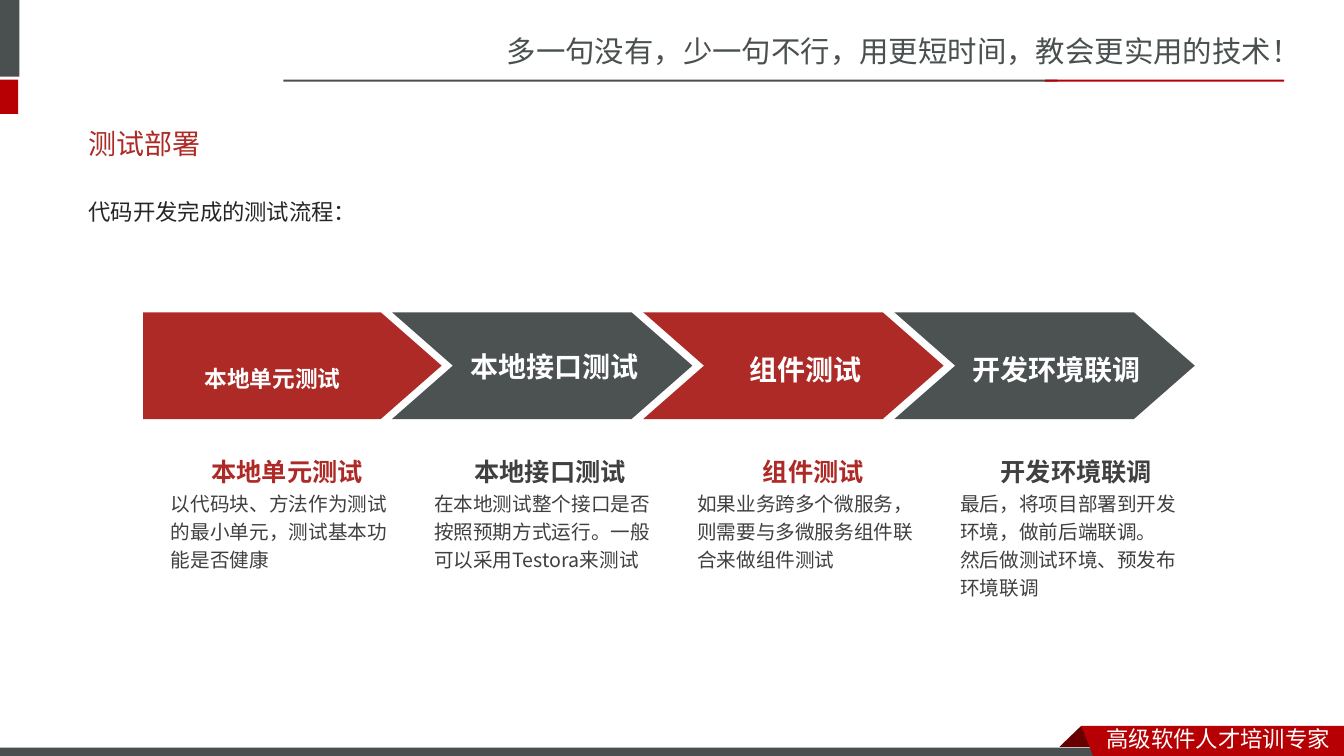
from pptx import Presentation
from pptx import util as u
from pptx.dml.color import RGBColor
from pptx.enum import lang, shapes, text
from pptx.oxml.ns import qn
from lxml import etree

RED, DEEP_RED, FOLD_RED = "AD2A26", "B60004", "680000"
SLATE, ARROW_GREY, INK, WHITE = "49504F", "4C5252", "404040", "FFFFFF"
SANS, BODY = "Noto Sans CJK SC", "Noto Sans CJK JP"

prs = Presentation()
prs.slide_width, prs.slide_height = u.Cm(33.87), u.Cm(19.05)
s = prs.slides.add_slide(prs.slide_layouts[6])


def paint(sp, color):
    """Give a shape a flat fill without outline or shadow."""
    sp.shadow.inherit = False
    sp.fill.solid()
    sp.fill.fore_color.rgb = RGBColor.from_string(color)
    sp.line.fill.background()


def write(content, box=None, tf=None, size=14, color=INK, font=BODY, bold=False,
          align="LEFT", anchor="TOP", spacing=None, before=0, grow=True, baseline=None):
    """Write one paragraph in a new box (left, top, width, height), or append it to tf."""
    if tf is None:
        tf = s.shapes.add_textbox(*map(u.Cm, box)).text_frame
        tf.word_wrap = True
        tf.vertical_anchor = getattr(text.MSO_ANCHOR, anchor)
        if grow:
            tf.auto_size = text.MSO_AUTO_SIZE.SHAPE_TO_FIT_TEXT
        p = tf.paragraphs[0]
    else:
        p = tf.add_paragraph()
    p.alignment = getattr(text.PP_ALIGN, align)
    p.line_spacing = spacing
    p.space_before = u.Pt(before)
    r = p.add_run()
    r.text = content
    r.font.size, r.font.bold, r.font.name = u.Pt(size), bold, font
    r.font.color.rgb = RGBColor.from_string(color)
    r.font.language_id = lang.MSO_LANGUAGE_ID.SIMPLIFIED_CHINESE
    r_pr = r.font._element
    r_pr.find(qn("a:latin")).addnext(etree.Element(qn("a:ea"), typeface=font))
    if baseline:
        r_pr.set("baseline", str(baseline))
    return tf


# Page frame
for box, color in [
    ((-0.15, 0, 0.64, 1.93), SLATE),
    ((-0.15, 2.01, 0.61, 0.86), DEEP_RED),
    ((7.14, 2.01, 19.51, 0.05), SLATE),
    ((26.34, 2.01, 6.02, 0.05), DEEP_RED),
    ((-0.03, 18.84, 27.94, 0.28), SLATE),
]:
    paint(s.shapes.add_shape(shapes.MSO_SHAPE.RECTANGLE, *map(u.Cm, box)), color)

fold = [(27.25, 18.29), (27.81, 18.82), (26.7, 18.82)]
ribbon = [(27.25, 18.29), (33.87, 18.29), (33.87, 19.15), (27.58, 19.13)]
for outline, color in [(fold, FOLD_RED), (ribbon, DEEP_RED)]:
    points = [(u.Cm(x), u.Cm(y)) for x, y in outline]
    builder = s.shapes.build_freeform(*points[0])
    builder.add_line_segments(points[1:], close=True)
    paint(builder.convert_to_shape(), color)

write("多一句没有，少一句不行，用更短时间，教会更实用的技术！", (12.52, 0.71, 21.36, 1.19),
      size=21, color=SLATE, font=SANS)
write("高级软件人才培训专家", (27.64, 18.16, 6.22, 0.94), size=16, color=WHITE, font=SANS)

# Headings
write("代码开发完成的测试流程：", (1.98, 4.52, 29.72, 11.3), size=16, color="262626",
      spacing=1.5, before=3.2, grow=False)
write("测试部署", (1.98, 2.31, 16.59, 1.78), size=20, color="AD2B26", font="Roboto",
      anchor="MIDDLE", spacing=2, before=4, grow=False)

# Process: arrow, label and description for each step
steps = [
    ("本地单元测试", (3.58, 8.64, 6.58, 1.17), dict(size=28, spacing=1.2, baseline=-3000),
     ["以代码块、方法作为测试的最小单元，测试基本功能是否健康"]),
    ("本地接口测试", (10.77, 8.66, 6.4, 1.12), dict(size=20),
     ["在本地测试整个接口是否按照预期方式运行。一般可以采用Testora来测试"]),
    ("组件测试", (17.15, 8.61, 6.32, 1.22), dict(size=20, spacing=1.2),
     ["如果业务跨多个微服务，则需要与多微服务组件联合来做组件测试"]),
    ("开发环境联调", (23.42, 8.61, 6.4, 1.22), dict(size=20, spacing=1.2),
     ["最后，将项目部署到开发环境，做前后端联调。", "然后做测试环境、预发布环境联调"]),
]
for i, (name, label_box, label_format, details) in enumerate(steps):
    if i == 0:
        preset, left, width = shapes.MSO_SHAPE.PENTAGON, 3.61, 7.52
    else:
        preset, left, width = shapes.MSO_SHAPE.CHEVRON, 9.88 + 6.33 * (i - 1), 7.57
    arrow = s.shapes.add_shape(preset, u.Cm(left), u.Cm(7.87), u.Cm(width), u.Cm(2.69))
    arrow.adjustments[0] = 0.57
    paint(arrow, ARROW_GREY if i % 2 else RED)
    write(name, label_box, color=WHITE, bold=True, align="CENTER", anchor="MIDDLE",
          **label_format)

    height = 3.3 if len(details) == 1 else 4.01
    card = write(name, (4.06 + 6.63 * i, 11.23, 6.35, height), size=18, bold=True,
                 color=INK if i % 2 else RED, align="CENTER", spacing=1.2)
    for detail in details:
        write(detail, tf=card, spacing=1.2)

prs.save("out.pptx")
